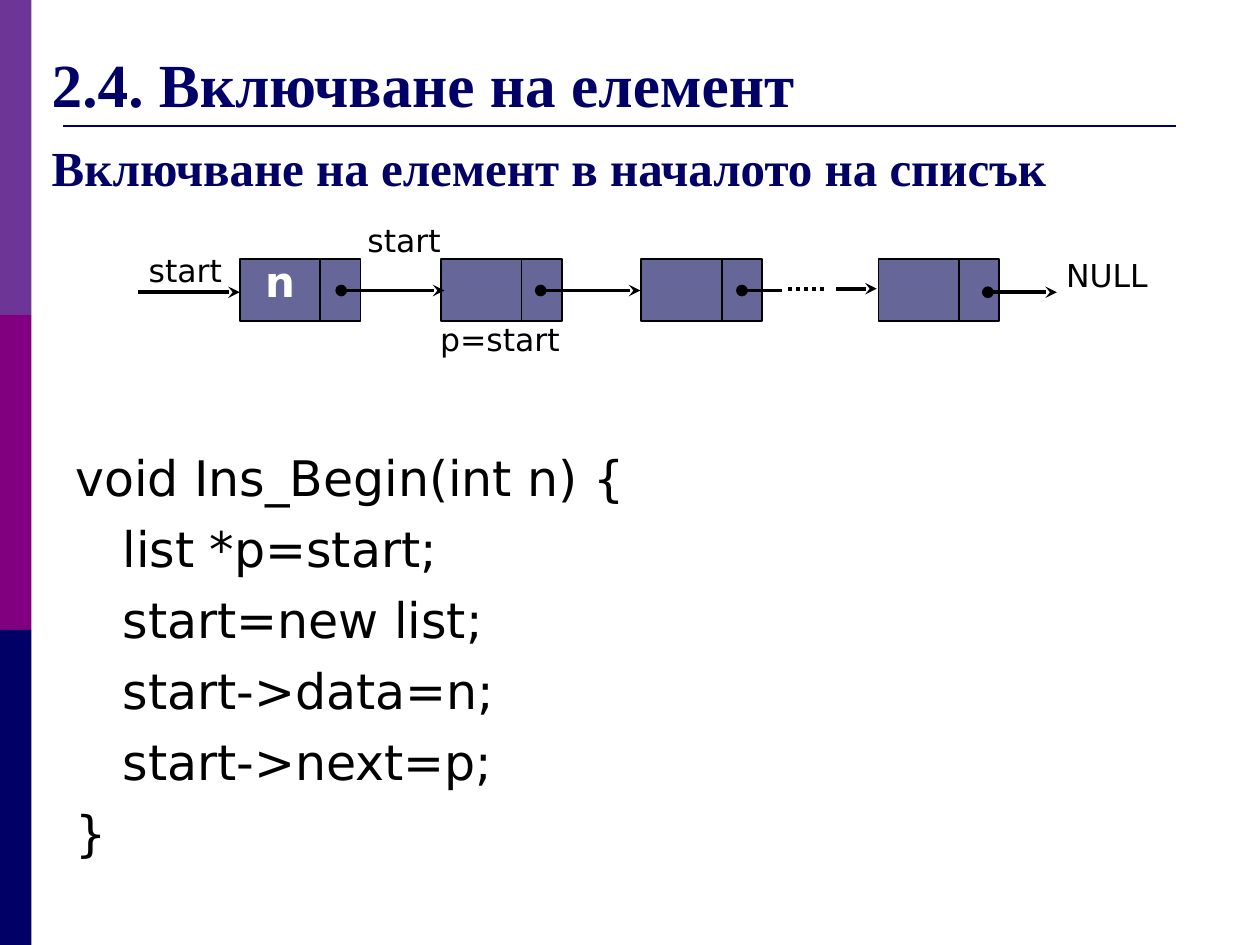
import lxml.etree
import pptx
import pptx.dml.color
import pptx.enum.dml
import pptx.enum.shapes
import pptx.enum.text
import pptx.oxml.ns
import pptx.util

Pt = pptx.util.Pt
qn = pptx.oxml.ns.qn
Align = pptx.enum.text.PP_ALIGN
Anchor = pptx.enum.text.MSO_ANCHOR


def colour(value):
    return pptx.dml.color.RGBColor.from_string(value)


class ListPage:
    heading_font = "Times New Roman"
    body_font = "DejaVu Sans"
    navy = "000066"
    black = "000000"
    white = "FFFFFF"
    node_fill = "666699"

    def __init__(self, deck):
        self.page = deck.slides.add_slide(deck.slide_layouts[6])

    def rectangle(self, left, top, width, height, fill, outlined=False):
        shape = self.page.shapes.add_shape(
            pptx.enum.shapes.MSO_SHAPE.RECTANGLE, Pt(left), Pt(top), Pt(width), Pt(height))
        shape.shadow.inherit = False
        shape.fill.solid()
        shape.fill.fore_color.rgb = colour(fill)
        if outlined:
            shape.line.color.rgb = colour(self.black)
            shape.line.width = Pt(1)
        else:
            shape.line.fill.background()

    def node(self, left):
        self.rectangle(left, 148, 46, 35.5, self.node_fill, True)
        self.rectangle(left + 46, 148, 23, 35.5, self.node_fill, True)

    def line(self, start, end, y, head=None, tail=None, dotted=False, ink=black, width=2.25):
        connector = self.page.shapes.add_connector(
            pptx.enum.shapes.MSO_CONNECTOR.STRAIGHT, Pt(start), Pt(y), Pt(end), Pt(y))
        connector.line.color.rgb = colour(ink)
        connector.line.width = Pt(width)
        if dotted:
            connector.line.dash_style = pptx.enum.dml.MSO_LINE.ROUND_DOT
        properties = connector._element.spPr
        outline = properties.find(qn("a:ln"))
        for name, kind in (("a:headEnd", head), ("a:tailEnd", tail)):
            if kind:
                lxml.etree.SubElement(outline, qn(name), type=kind)
        lxml.etree.SubElement(properties, qn("a:effectLst"))

    def text_box(self, left, top, width, height, margins, anchor=Anchor.TOP):
        box = self.page.shapes.add_textbox(Pt(left), Pt(top), Pt(width), Pt(height))
        frame = box.text_frame
        frame.word_wrap = True
        frame.vertical_anchor = anchor
        frame.margin_left = frame.margin_right = Pt(margins[0])
        frame.margin_top = frame.margin_bottom = Pt(margins[1])
        return frame

    def add_span(self, para, words, size, font, ink, bold=False):
        span = para.add_run()
        span.text = words
        span.font.size = Pt(size)
        span.font.name = font
        span.font.bold = bold
        span.font.color.rgb = colour(ink)

    def heading(self, words, top, size):
        frame = self.text_box(22.5, top, 697.5, 50.4, (7.2, 3.6), Anchor.BOTTOM)
        self.add_span(frame.paragraphs[0], words, size, self.heading_font, self.navy, True)

    def label(self, words, left, top, width, height=29, size=18, ink=black, bold=False,
              align=Align.LEFT):
        frame = self.text_box(left, top, width, height, (3, 1.5))
        frame.paragraphs[0].alignment = align
        self.add_span(frame.paragraphs[0], words, size, self.body_font, ink, bold)

    def code(self, lines):
        frame = self.text_box(36, 252, 648, 288, (7.2, 3.6))
        for number, (depth, words) in enumerate(lines):
            para = frame.add_paragraph() if number else frame.paragraphs[0]
            para.space_before = Pt(7)
            para._p.get_or_add_pPr().set("marL", str(Pt(27 * depth)))
            self.add_span(para, words, 28, self.body_font, self.black)


def main():
    deck = pptx.Presentation()
    deck.slide_width, deck.slide_height = Pt(720), Pt(540)
    page = ListPage(deck)

    for number, fill in enumerate(("6D3696", "800080", page.navy)):
        page.rectangle(0, 180 * number, 18, 180, fill)
    page.line(36, 672, 72, ink=page.navy, width=1.5)
    page.heading("2.4. Включване на елемент", 21.6, 35)
    page.heading("Включване на елемент в началото на списък", 65.5, 28)

    for left in (137, 252, 366.5, 502):
        page.node(left)
    page.line(79, 137, 167, tail="stealth")
    page.line(195, 254, 166, "oval", "stealth")
    page.line(309, 366, 166, "oval", "stealth")
    page.line(424, 447, 166, "oval")
    page.line(450.5, 472.5, 165, dotted=True)
    page.line(478, 501, 165, tail="stealth")
    page.line(564.5, 604, 167, "oval", "stealth")

    page.label("start", 82, 142, 66)
    page.label("start", 207, 125, 66)
    page.label("p=start", 248.5, 181.5, 89)
    page.label("NULL", 595.5, 145, 74, align=Align.CENTER)
    page.label("n", 148.5, 144.7, 34.5, 53, 24, page.white, True)

    page.code((
        (0, "void Ins_Begin(int n) {"),
        (1, "list *p=start;"),
        (1, "start=new list;"),
        (1, "start->data=n;"),
        (1, "start->next=p;"),
        (0, "}"),
    ))
    deck.save("out.pptx")


if __name__ == "__main__":
    main()
